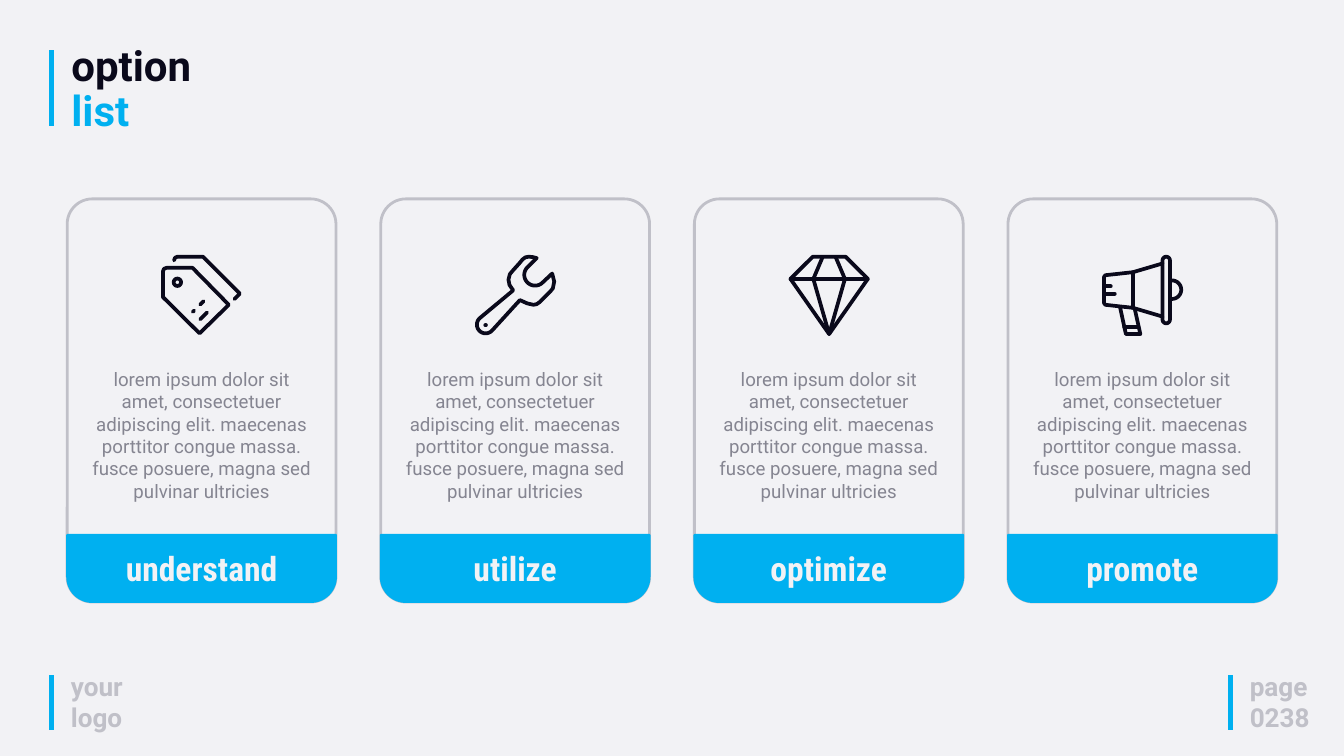
from math import cos, radians, sin

from lxml.etree import SubElement
from pptx import Presentation
from pptx.dml.color import RGBColor
from pptx.enum.shapes import MSO_CONNECTOR, MSO_SHAPE
from pptx.enum.text import MSO_ANCHOR, MSO_AUTO_SIZE, PP_ALIGN
from pptx.oxml.ns import qn
from pptx.util import Cm, Pt

PAPER = RGBColor(0xF2, 0xF2, 0xF5)
ACCENT = RGBColor(0x00, 0xB0, 0xF0)
INK = RGBColor(0x0A, 0x09, 0x1B)
SILVER = RGBColor(0xC0, 0xC0, 0xC8)
GREY = RGBColor(0x85, 0x85, 0x91)

SLIDE_W, SLIDE_H = 50.8, 28.58
MARGIN, CARD_W, CARD_H, CARD_TOP = 2.54, 10.16, 15.24, 7.52
LABEL_H, CORNER = 2.54, 0.95
ICON_SIZE, ICON_GRID = 3.05, 120
BODY = ("lorem ipsum dolor sit amet, consectetuer adipiscing elit. maecenas "
        "porttitor congue massa. fusce posuere, magna sed pulvinar ultricies")


def arc(cx, cy, radius, start, end, steps=16):
    """Return points along an arc, with angles in degrees clockwise from the right."""
    angles = [radians(start + (end - start) * i / steps) for i in range(steps + 1)]
    return [(cx + radius * cos(a), cy + radius * sin(a)) for a in angles]


TAGS = [
    [(2.5, 63), (2.5, 25), (4, 21), (8, 19.5), (46.5, 19.5), (100.5, 74.5),
     (57, 117), (2.5, 63)],
    [(19, 8.5), (20.5, 4.5), (24, 3), (62, 3), (117, 58), (109, 66)],
    arc(24, 41, 5.5, 0, 360),
    [(58, 74), (63, 69)],
    [(47, 85), (49, 83)],
    [(58, 96), (68, 86)],
]
WRENCH = [
    [(92, 5), *arc(89.5, 30, 16, 225, 45, 20), (115, 28), (118, 40), (116, 50),
     (112, 55), (97, 70), (92, 73.5), (87, 74.5), (78, 72.5), (67, 67.5),
     *arc(16, 104, 13, 45, 225), (57, 53), (51.5, 45), (50, 37), (52, 29), (57, 23),
     (66, 13), (71, 7), (75, 4), (80, 3), (86, 3.5), (92, 5)],
    [(15.5, 105), (16.5, 105)],
]
DIAMOND = [
    [(36, 3), (85, 3), (118, 36), (60.5, 118), (3, 36), (36, 3)],
    [(3, 36), (118, 36)],
    [(51, 3), (37, 36), (60.5, 118), (84, 36), (70, 3)],
]
MEGAPHONE = [
    [*arc(95.5, 8.5, 5.5, 180, 360), *arc(95.5, 96.5, 5.5, 0, 180), (90, 8.5)],
    [(90, 13), (46, 26), (5, 30.5), (3, 33), (3, 72), (5, 74.5), (46, 79), (90, 92)],
    [(46, 26), (46, 79)],
    [(3, 47), (13, 47)],
    [(3, 58), (19, 58)],
    [(27, 79), (35.5, 118), (57, 118), (49, 82)],
    [(33, 107.5), (54, 107.5)],
    [(101, 38.2), *arc(104, 52, 13.8, -90, 90), (101, 65.8)],
]
OPTIONS = [("understand", TAGS), ("utilize", WRENCH),
           ("optimize", DIAMOND), ("promote", MEGAPHONE)]


def add_run(p, text, size, color, font="Roboto", bold=False):
    """Add a formatted run to a paragraph."""
    r = p.add_run()
    r.text = text
    r.font.name, r.font.size, r.font.bold = font, Pt(size), bold
    r.font.color.rgb = color


def add_text(s, left, top, width, height, lines, align=PP_ALIGN.LEFT, **fmt):
    """Add a wrapping text box with one paragraph for each line."""
    tf = s.shapes.add_textbox(Cm(left), Cm(top), Cm(width), Cm(height)).text_frame
    tf.word_wrap = True
    tf.auto_size = MSO_AUTO_SIZE.SHAPE_TO_FIT_TEXT
    for i, line in enumerate(lines):
        p = tf.add_paragraph() if i else tf.paragraphs[0]
        p.alignment = align
        add_run(p, line, **fmt)


def add_bar(s, left, top, height):
    """Add a vertical accent line."""
    line = s.shapes.add_connector(MSO_CONNECTOR.STRAIGHT, Cm(left), Cm(top),
                                  Cm(left), Cm(top + height))
    line.line.color.rgb, line.line.width = ACCENT, Pt(5)
    SubElement(line._element.spPr, qn("a:effectLst"))


def add_outline(s, left, top, unit, contours, closed=False):
    """Add a freeform whose contours are measured in units of so many centimetres."""
    emu = [[(Cm(x * unit), Cm(y * unit)) for x, y in points] for points in contours]
    builder = s.shapes.build_freeform(*emu[0][0])
    for i, (start, *rest) in enumerate(emu):
        if i:
            builder.move_to(*start)
        builder.add_line_segments(rest, close=closed)
    sp = builder.convert_to_shape(Cm(left), Cm(top))
    sp.shadow.inherit = False
    return sp


def add_icon(s, left, top, contours):
    """Draw a line icon with round caps and joins."""
    sp = add_outline(s, left, top, ICON_SIZE / ICON_GRID, contours)
    sp.fill.background()
    sp.line.color.rgb, sp.line.width = INK, Pt(4)
    ln = sp.line._get_or_add_ln()
    ln.set("cap", "rnd")
    SubElement(ln, qn("a:round"))


def add_label(s, left, top, width, height, text):
    """Add the filled foot of a card with rounded lower corners."""
    points = [(0, 0), (width, 0),
              *arc(width - CORNER, height - CORNER, CORNER, 0, 90),
              *arc(CORNER, height - CORNER, CORNER, 90, 180)]
    sp = add_outline(s, left, top, 1, [points], closed=True)
    sp.fill.solid()
    sp.fill.fore_color.rgb = ACCENT
    sp.line.color.rgb, sp.line.width = ACCENT, Pt(2)
    tf = sp.text_frame
    tf.vertical_anchor = MSO_ANCHOR.MIDDLE
    p = tf.paragraphs[0]
    p.alignment = PP_ALIGN.CENTER
    add_run(p, text, 36, PAPER, font="Roboto Condensed", bold=True)


def add_card(s, left, top, width, height, label, icon):
    """Add one option card with its icon, body text and label."""
    sp = s.shapes.add_shape(MSO_SHAPE.ROUNDED_RECTANGLE, Cm(left), Cm(top),
                            Cm(width), Cm(height))
    sp.adjustments[0] = CORNER / width
    sp.shadow.inherit = False
    sp.fill.solid()
    sp.fill.fore_color.rgb = PAPER
    sp.line.color.rgb, sp.line.width = SILVER, Pt(3)
    add_label(s, left, top + height - LABEL_H, width, LABEL_H, label)
    add_icon(s, left + (width - ICON_SIZE) / 2, top + 2.11, icon)
    add_text(s, left + 0.68, top + 6.25, width - 1.36, 5.38, [BODY],
             align=PP_ALIGN.CENTER, size=20, color=GREY)


def add_header(s, left, top, width, height):
    """Place the two-tone title beside its accent line."""
    add_bar(s, left, top + 0.33, 2.87)
    title = s.shapes.title
    title.left, title.top = Cm(left + 0.49), Cm(top)
    title.width, title.height = Cm(width), Cm(height)
    tf = title.text_frame
    tf.word_wrap = True
    tf.auto_size = MSO_AUTO_SIZE.SHAPE_TO_FIT_TEXT
    tf.vertical_anchor = MSO_ANCHOR.TOP
    p = tf.paragraphs[0]
    p.alignment, p.line_spacing = PP_ALIGN.LEFT, 0.9
    add_run(p, "option", 45, INK, bold=True)
    p.add_line_break()
    add_run(p, "list", 45, ACCENT, bold=True)


def add_footer(s, left, top, width, lines):
    """Add a footer note beside its accent line."""
    add_bar(s, left, top + 0.33, 2.06)
    add_text(s, left + 0.48, top, width, 2.64, lines, size=28, color=SILVER, bold=True)


def main():
    """Build the option list slide."""
    prs = Presentation()
    prs.slide_width, prs.slide_height = Cm(SLIDE_W), Cm(SLIDE_H)
    s = prs.slides.add_slide(prs.slide_layouts[5])
    s.background.fill.solid()
    s.background.fill.fore_color.rgb = PAPER
    add_header(s, 1.95, 1.57, 22.96, 1.98)
    pitch = (SLIDE_W - 2 * MARGIN - CARD_W) / (len(OPTIONS) - 1)
    for i, (label, icon) in enumerate(OPTIONS):
        add_card(s, MARGIN + i * pitch, CARD_TOP, CARD_W, CARD_H, label, icon)
    add_footer(s, 1.95, 25.2, 3.02, ["your logo"])
    add_footer(s, 46.51, 25.2, 4.83, ["page", "0238"])
    prs.save("out.pptx")


if __name__ == "__main__":
    main()
